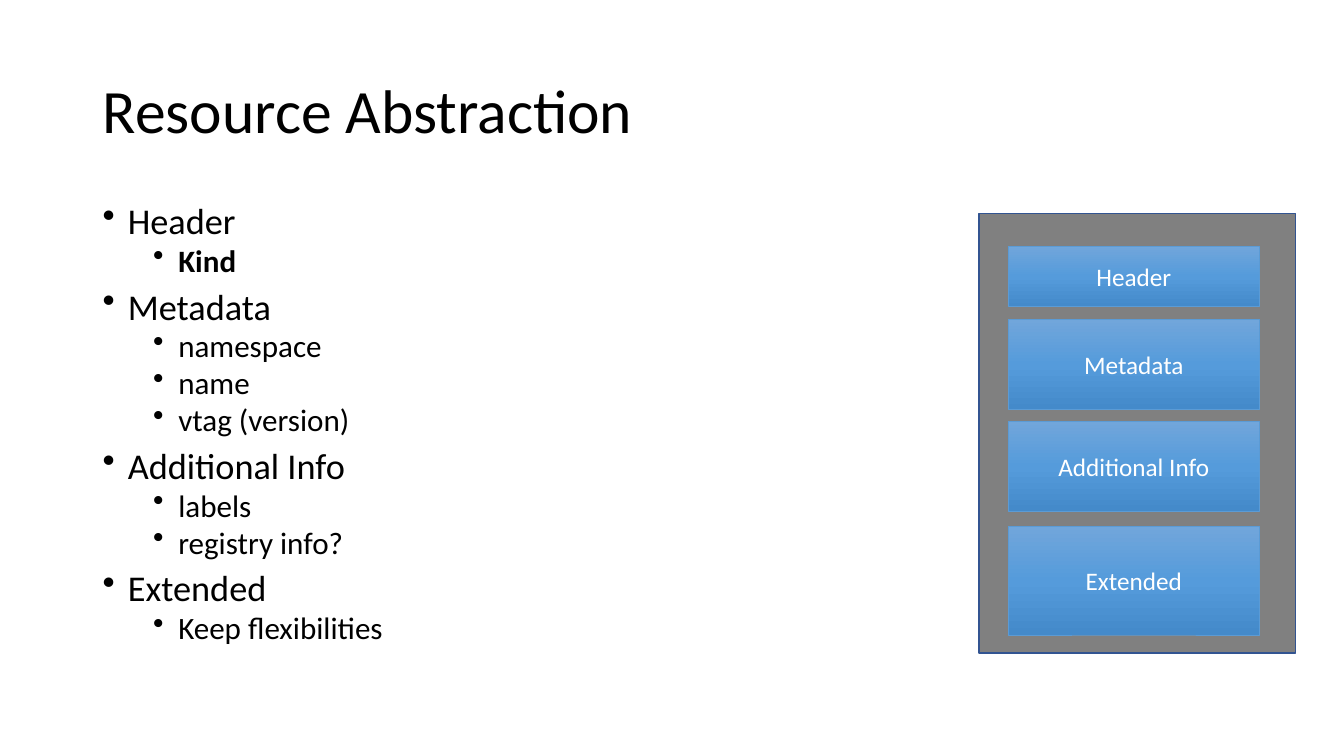
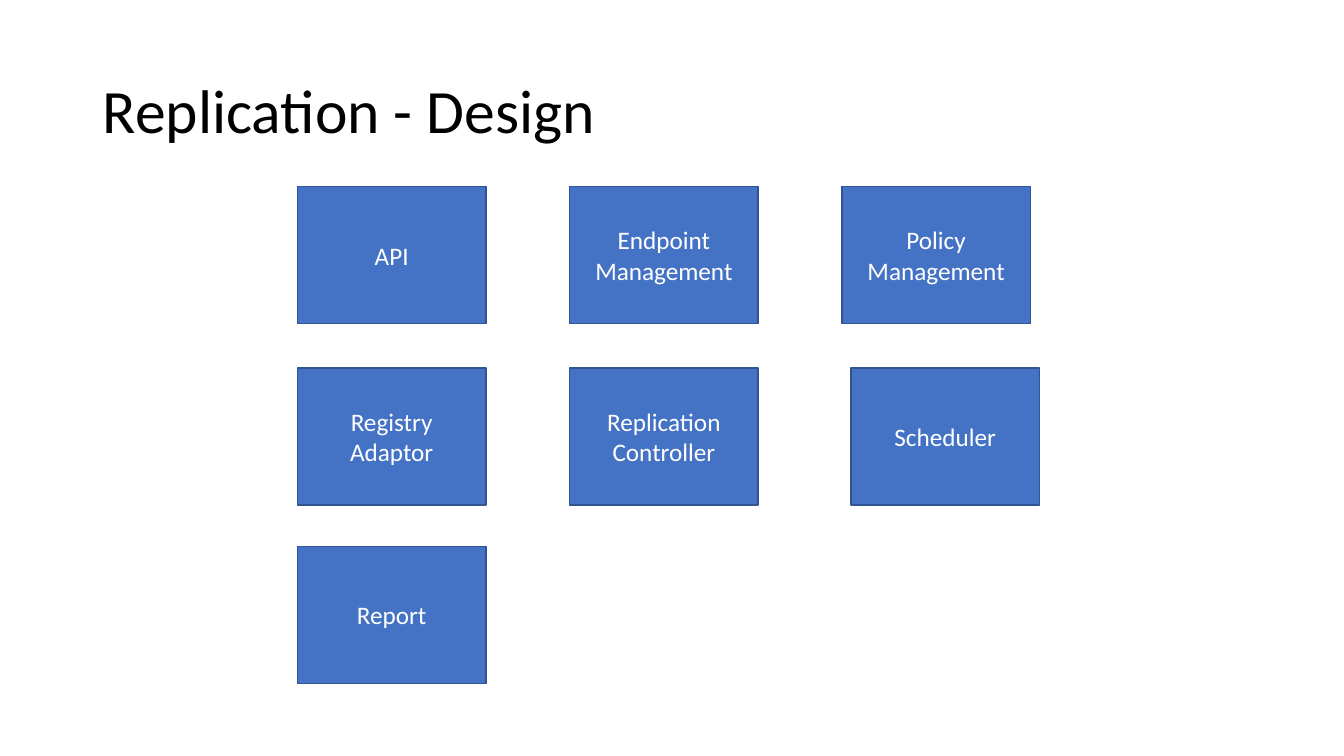
import copy

import pptx
import pptx.dml.color
import pptx.enum.shapes
import pptx.enum.text
import pptx.oxml
import pptx.oxml.ns
import pptx.util

Inches = pptx.util.Inches
Pt = pptx.util.Pt
RGBColor = pptx.dml.color.RGBColor
PP_ALIGN = pptx.enum.text.PP_ALIGN
MSO_ANCHOR = pptx.enum.text.MSO_ANCHOR

FONT = "Calibri"
BLACK = RGBColor(0x00, 0x00, 0x00)
WHITE = RGBColor(0xFF, 0xFF, 0xFF)
GRAY = RGBColor(0x80, 0x80, 0x80)
BLUE = RGBColor(0x44, 0x72, 0xC4)
DARK_BLUE = RGBColor(0x32, 0x54, 0x91)
LIGHT_BLUE = RGBColor(0x5B, 0x9B, 0xD5)
GRADIENT = (
    (0, RGBColor(0x71, 0xA6, 0xDB)),
    (0.5, RGBColor(0x55, 0x9B, 0xDB)),
    (1, RGBColor(0x44, 0x8A, 0xCA)),
)

OUTLINE = (
    ("Header", ("Kind",)),
    ("Metadata", ("namespace", "name", "vtag (version)")),
    ("Additional Info", ("labels", "registry info?")),
    ("Extended", ("Keep flexibilities",)),
)
RESOURCE_PARTS = (
    ("Header", 2.44, 0.6),
    ("Metadata", 3.17, 0.89),
    ("Additional Info", 4.18, 0.89),
    ("Extended", 5.22, 1.08),
)
COMPONENT_ROWS = (
    (1.85, ("API", "Endpoint Management", "Policy Management")),
    (3.65, ("Registry Adaptor", "Replication Controller", "Scheduler")),
    (5.42, ("Report",)),
)
COMPONENT_LEFT = 2.95
COMPONENT_STEP = 2.7
SCHEDULER_SHIFT = 0.09


def write_text(para, text, size=18, color=BLACK, bold=False,
               align=PP_ALIGN.LEFT, spacing=None, before=None):
    para.alignment = align
    if spacing is not None:
        para.line_spacing = spacing
    if before is not None:
        para.space_before = Pt(before)
    span = para.add_run()
    span.text = text
    span.font.name = FONT
    span.font.size = Pt(size)
    span.font.bold = bold
    span.font.color.rgb = color


def add_text_frame(page, left, top, width, height, anchor):
    box = page.shapes.add_textbox(
        Inches(left), Inches(top), Inches(width), Inches(height))
    frame = box.text_frame
    frame.word_wrap = True
    frame.vertical_anchor = anchor
    return frame


def add_page(deck, title):
    page = deck.slides.add_slide(deck.slide_layouts[6])
    frame = add_text_frame(page, 0.92, 0.4, 11.5, 1.45, MSO_ANCHOR.MIDDLE)
    write_text(frame.paragraphs[0], title, size=44, spacing=0.9)
    return page


def set_bullet(para, indent):
    properties = para._p.get_or_add_pPr()
    properties.set("marL", str(Inches(indent)))
    properties.set("indent", str(Inches(-0.25)))
    bullet = pptx.oxml.parse_xml(
        f'<a:buChar {pptx.oxml.ns.nsdecls("a")} char="•"/>')
    properties.append(bullet)


def add_outline(page, outline):
    frame = add_text_frame(page, 0.92, 2, 7.5, 4.76, MSO_ANCHOR.TOP)
    for position, (heading, details) in enumerate(outline):
        para = frame.add_paragraph() if position else frame.paragraphs[0]
        set_bullet(para, 0.25)
        write_text(para, heading, size=25.9, spacing=0.8,
                   before=10 if position else None)
        for detail in details:
            para = frame.add_paragraph()
            para.level = 1
            set_bullet(para, 0.75)
            write_text(para, detail, size=22.2, bold=detail == "Kind",
                       spacing=0.8, before=5)


def fill_gradient(fill):
    fill.gradient()
    fill.gradient_angle = 270
    stop_list = fill._xPr.find(
        f'{pptx.oxml.ns.qn("a:gradFill")}/{pptx.oxml.ns.qn("a:gsLst")}')
    stop_list.append(copy.deepcopy(stop_list[-1]))
    for stop, (position, color) in zip(fill.gradient_stops, GRADIENT):
        stop.position = position
        stop.color.rgb = color


def add_block(page, left, top, width, height, text=None, color=None,
              line=DARK_BLUE, line_width=1):
    block = page.shapes.add_shape(
        pptx.enum.shapes.MSO_SHAPE.RECTANGLE,
        Inches(left), Inches(top), Inches(width), Inches(height))
    block.shadow.inherit = False
    if color is None:
        fill_gradient(block.fill)
    else:
        block.fill.solid()
        block.fill.fore_color.rgb = color
    block.line.color.rgb = line
    block.line.width = Pt(line_width)
    if text:
        frame = block.text_frame
        frame.word_wrap = True
        frame.vertical_anchor = MSO_ANCHOR.MIDDLE
        write_text(frame.paragraphs[0], text, color=WHITE,
                   align=PP_ALIGN.CENTER)


def build_resource_page(deck):
    page = add_page(deck, "Resource Abstraction")
    add_outline(page, OUTLINE)
    add_block(page, 9.71, 2.12, 3.14, 4.36, color=GRAY)
    for name, top, height in RESOURCE_PARTS:
        add_block(page, 10, top, 2.49, height, name,
                  line=LIGHT_BLUE, line_width=0.5)


def build_replication_page(deck):
    page = add_page(deck, "Replication - Design")
    for top, names in COMPONENT_ROWS:
        for column, name in enumerate(names):
            left = COMPONENT_LEFT + column * COMPONENT_STEP
            if name == "Scheduler":
                left += SCHEDULER_SHIFT
            add_block(page, left, top, 1.87, 1.36, name, color=BLUE)


def main():
    deck = pptx.Presentation()
    deck.slide_width = Inches(13.33)
    deck.slide_height = Inches(7.5)
    build_resource_page(deck)
    build_replication_page(deck)
    deck.save("out.pptx")


if __name__ == "__main__":
    main()
